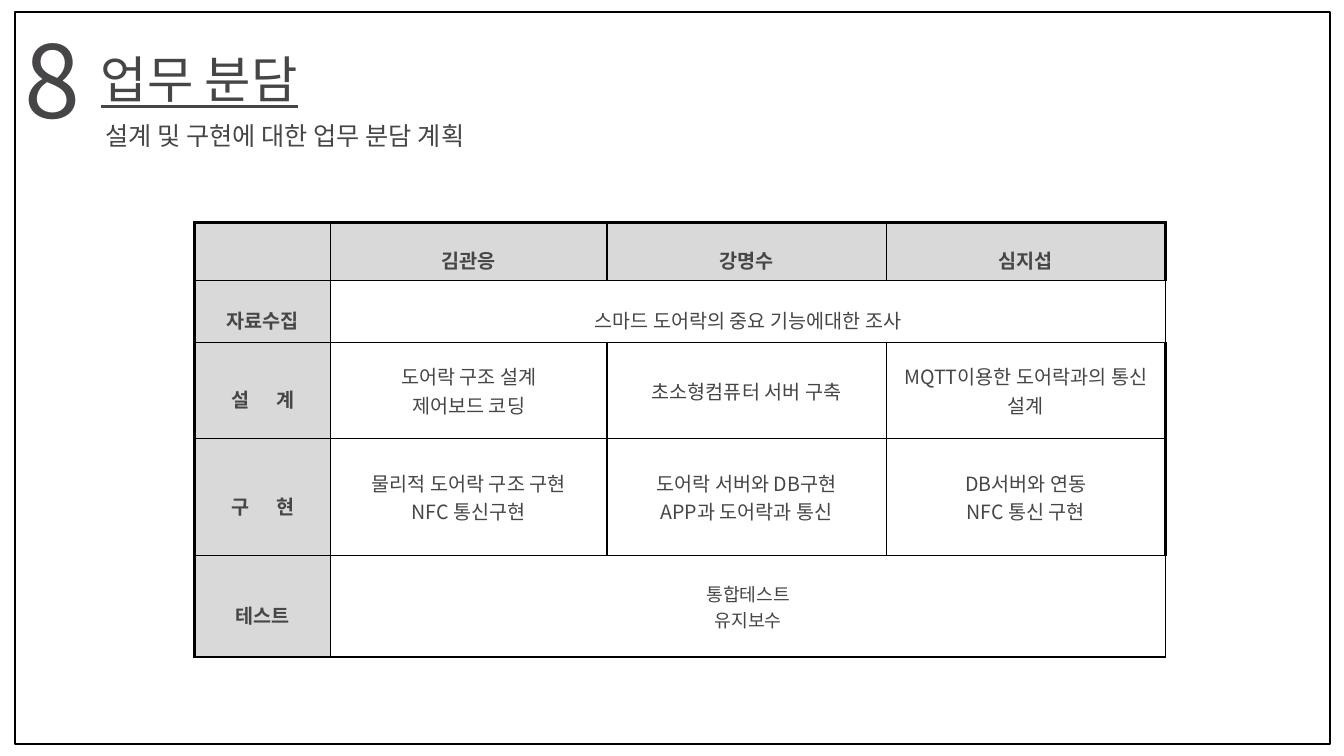
from lxml.etree import SubElement
from pptx import Presentation
from pptx.dml.color import RGBColor
from pptx.enum.shapes import MSO_SHAPE
from pptx.enum.text import MSO_ANCHOR, MSO_AUTO_SIZE, PP_ALIGN
from pptx.oxml.ns import qn
from pptx.util import Inches, Pt

FONT = "Noto Sans CJK KR"
TEXT = RGBColor(0x47, 0x45, 0x48)
HEADER = RGBColor(0xD9, 0xD9, 0xD9)
BLACK = RGBColor(0, 0, 0)
OUTER, INNER = 2.25, 1

# Content
NUMBER = "8"
TITLE = "업무 분담"
SUBTITLE = "설계 및 구현에 대한 업무 분담 계획"
MEMBERS = ["김관응", "강명수", "심지섭"]
# Label, then one list of lines per member; a single list spans all members
TASKS = [
    ("자료수집", [["스마드 도어락의 중요 기능에대한 조사"]]),
    ("설 계", [["도어락 구조 설계", "제어보드 코딩"],
             ["초소형컴퓨터 서버 구축"],
             ["MQTT이용한 도어락과의 통신 설계"]]),
    ("구 현", [["물리적 도어락 구조 구현", "NFC 통신구현"],
             ["도어락 서버와 DB구현", "APP과 도어락과 통신"],
             ["DB서버와 연동", "NFC 통신 구현"]]),
    ("테스트", [["통합테스트", "유지보수"]]),
]
COLUMN_WIDTHS = [1.35, 2.74, 2.77, 2.77]
ROW_HEIGHTS = [0.57, 0.62, 0.95, 1.16, 1.01]
LABEL_GAP = 16
LABEL_SPACING = 1.6
TASK_SIZES = {"테스트": 13}


def add_run(paragraph, text, size, **extra):
    run = paragraph.add_run()
    run.text = text
    for name, value in {"name": FONT, "size": Pt(size), **extra}.items():
        setattr(run.font, name, value)
    run.font.color.rgb = TEXT
    SubElement(run.font._element, qn("a:ea"), typeface=FONT)
    return run


def write_heading(shape, box, text, size, **extra):
    shape.left, shape.top, shape.width, shape.height = map(Inches, box)
    frame = shape.text_frame
    frame.word_wrap = True
    frame.auto_size = MSO_AUTO_SIZE.SHAPE_TO_FIT_TEXT
    frame.vertical_anchor = MSO_ANCHOR.TOP
    paragraph = frame.paragraphs[0]
    paragraph.alignment = PP_ALIGN.LEFT
    add_run(paragraph, text, size, **extra)


def write_cell(cell, lines, size=14, spacing=None, bold=False):
    cell.vertical_anchor = MSO_ANCHOR.MIDDLE
    frame = cell.text_frame
    for index, line in enumerate(lines):
        paragraph = frame.add_paragraph() if index else frame.paragraphs[0]
        paragraph.alignment = PP_ALIGN.CENTER
        paragraph.line_spacing = spacing
        add_run(paragraph, line, size, bold=bold)


def write_label(cell, text):
    first, gap, last = text.partition(" ")
    write_cell(cell, [first], spacing=LABEL_SPACING, bold=True)
    if gap:
        paragraph = cell.text_frame.paragraphs[0]
        space = add_run(paragraph, gap, 14, bold=True)
        space.font._element.set("spc", str(LABEL_GAP * 100))
        add_run(paragraph, last, 14, bold=True)


def set_borders(cell, widths):
    properties = cell._tc.get_or_add_tcPr()
    for side, width in zip("LRTB", widths):
        line = SubElement(properties, qn(f"a:ln{side}"), w=str(Pt(width)))
        fill = SubElement(line, qn("a:solidFill"))
        SubElement(fill, qn("a:srgbClr"), val=str(BLACK))


presentation = Presentation()
presentation.slide_width, presentation.slide_height = Inches(13.33), Inches(7.5)
slide = presentation.slides.add_slide(presentation.slide_layouts[5])
shapes = slide.shapes

# Headings
number = shapes.add_textbox(0, 0, 0, 0)
write_heading(number, (0.14, 0.13, 0.81, 1.31), NUMBER, 72)
write_heading(shapes.title, (0.9, 0.43, 2.44, 0.71), TITLE, 36, underline=True)
subtitle = shapes.add_textbox(0, 0, 0, 0)
write_heading(subtitle, (0.95, 1.14, 3.8, 0.4), SUBTITLE, 18)

# Task table
row_count, column_count = len(ROW_HEIGHTS), len(COLUMN_WIDTHS)
table = shapes.add_table(
    row_count, column_count, Inches(1.93), Inches(2.21),
    Inches(sum(COLUMN_WIDTHS)), Inches(sum(ROW_HEIGHTS))).table
table.first_row = table.horz_banding = False
for column, width in zip(table.columns, COLUMN_WIDTHS):
    column.width = Inches(width)
for row, height in zip(table.rows, ROW_HEIGHTS):
    row.height = Inches(height)

# Borders and fills: thick outer frame, grey header row and label column
for r in range(row_count):
    for c in range(column_count):
        cell = table.cell(r, c)
        at_edge = (c == 0, c == column_count - 1, r == 0, r == row_count - 1)
        set_borders(cell, [OUTER if edge else INNER for edge in at_edge])
        if r == 0 or c == 0:
            cell.fill.solid()
            cell.fill.fore_color.rgb = HEADER
        else:
            cell.fill.background()

# Table text
for c, member in enumerate(MEMBERS, 1):
    write_label(table.cell(0, c), member)
for r, (label, tasks) in enumerate(TASKS, 1):
    write_label(table.cell(r, 0), label)
    spans_all = len(tasks) == 1
    if spans_all:
        table.cell(r, 1).merge(table.cell(r, column_count - 1))
    for c, lines in enumerate(tasks, 1):
        spacing = LABEL_SPACING if spans_all and len(lines) == 1 else None
        write_cell(table.cell(r, c), lines, TASK_SIZES.get(label, 14), spacing)

# Slide frame
frame = shapes.add_shape(MSO_SHAPE.RECTANGLE, Inches(0.15), Inches(0.12),
                         Inches(13.04), Inches(7.26))
frame.shadow.inherit = False
frame.fill.background()
frame.line.color.rgb = BLACK
frame.line.width = Pt(1)

presentation.save("out.pptx")
